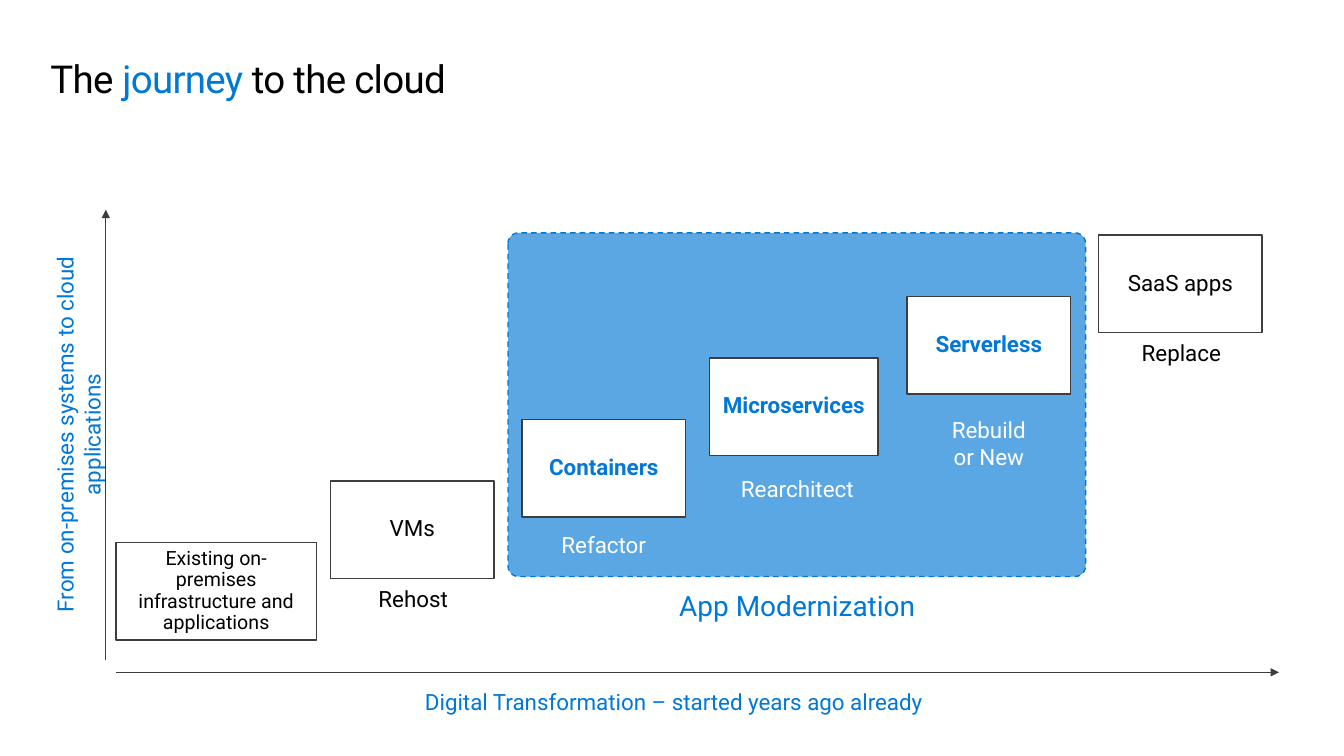
import pptx
import pptx.dml.color
import pptx.enum.dml
import pptx.enum.shapes
import pptx.enum.text
import pptx.oxml
import pptx.oxml.ns
import pptx.util

Pt = pptx.util.Pt
RGBColor = pptx.dml.color.RGBColor
ALIGN = pptx.enum.text.PP_ALIGN
ANCHOR = pptx.enum.text.MSO_ANCHOR
SHAPE = pptx.enum.shapes.MSO_SHAPE

BLACK = RGBColor(0x00, 0x00, 0x00)
WHITE = RGBColor(0xFF, 0xFF, 0xFF)
INK = RGBColor(0x3C, 0x3C, 0x41)
TITLE_BLUE = RGBColor(0x00, 0x78, 0xD4)
LABEL_BLUE = RGBColor(0x00, 0x78, 0xD7)
PANEL_BLUE = RGBColor(0x04, 0x78, 0xD7)

STEP_HEIGHT = 69.84
STEP_RISE = 43.92
CAPTION_WIDTH = 103.68
LINE_HEIGHT = 19.44

STEPS = [
    dict(name="Existing on-premises infrastructure and applications", left=82.8, width=143.28, size=14),
    dict(name="VMs", left=236.16, caption="Rehost", caption_left=243.36, gap=4.3),
    dict(name="Containers", left=372.96, caption="Refactor", caption_left=379.44, gap=10, modern=True),
    dict(name="Microservices", left=506.88, width=120.24, inset=7.2, caption="Rearchitect",
         caption_left=517.68, gap=13.7, modern=True),
    dict(name="Serverless", left=648, caption="Rebuild\nor New", caption_left=654.48, gap=15.8, modern=True),
    dict(name="SaaS apps", left=784.8, caption="Replace", caption_left=792, gap=4.3),
]


def write_text(paragraph, text, size=16, color=BLACK, bold=False, spacing=None):
    for index, line in enumerate(text.split("\n")):
        if index:
            paragraph.add_line_break()
        run = paragraph.add_run()
        run.text = line
        run.font.name = "Roboto"
        run.font.size = Pt(size)
        run.font.bold = bold
        run.font.color.rgb = color
        if spacing is not None:
            run.font._element.set("spc", str(round(spacing * 100)))


def set_insets(frame, left, top, right, bottom):
    frame.word_wrap = True
    frame.margin_left, frame.margin_top = Pt(left), Pt(top)
    frame.margin_right, frame.margin_bottom = Pt(right), Pt(bottom)


def add_label(slide, text, left, top, width, height, rotation=0, **text_format):
    label = slide.shapes.add_textbox(Pt(left), Pt(top), Pt(width), Pt(height))
    label.rotation = rotation
    frame = label.text_frame
    set_insets(frame, 0, 0, 0, 0)
    frame.auto_size = pptx.enum.text.MSO_AUTO_SIZE.SHAPE_TO_FIT_TEXT
    paragraph = frame.paragraphs[0]
    paragraph.alignment = ALIGN.CENTER
    write_text(paragraph, text, **text_format)


def add_box(slide, kind, left, top, width, height, fill, line):
    box = slide.shapes.add_shape(kind, Pt(left), Pt(top), Pt(width), Pt(height))
    box.shadow.inherit = False
    box.fill.solid()
    box.fill.fore_color.rgb = fill
    box.line.color.rgb = line
    box.line.width = Pt(1)
    return box


def add_arrow(slide, start_x, start_y, end_x, end_y):
    arrow = slide.shapes.add_connector(
        pptx.enum.shapes.MSO_CONNECTOR.STRAIGHT, Pt(start_x), Pt(start_y), Pt(end_x), Pt(end_y))
    arrow.line.color.rgb = INK
    arrow.line.width = Pt(1)
    properties = arrow._element.spPr
    head = pptx.oxml.parse_xml(f'<a:tailEnd {pptx.oxml.ns.nsdecls("a")} type="triangle"/>')
    properties.find(pptx.oxml.ns.qn("a:ln")).append(head)
    properties.append(pptx.oxml.parse_xml(f'<a:effectLst {pptx.oxml.ns.nsdecls("a")}/>'))


def add_title(slide, left, top, width, height):
    title = slide.shapes.title
    title.left, title.top, title.width, title.height = Pt(left), Pt(top), Pt(width), Pt(height)
    frame = title.text_frame
    set_insets(frame, 0, 7.2, 11.52, 7.2)
    frame.vertical_anchor = ANCHOR.TOP
    frame.auto_size = pptx.enum.text.MSO_AUTO_SIZE.NONE
    paragraph = frame.paragraphs[0]
    paragraph.alignment = ALIGN.LEFT
    paragraph.line_spacing = 0.9
    for text, color in (("The ", BLACK), ("journey", TITLE_BLUE), (" to the cloud", BLACK)):
        write_text(paragraph, text, size=27.5, color=color, spacing=-0.5)


def add_modernization_panel(slide, left, top, width, height):
    panel = add_box(slide, SHAPE.ROUNDED_RECTANGLE, left, top, width, height, PANEL_BLUE, TITLE_BLUE)
    panel.adjustments[0] = 0.031
    panel.line.dash_style = pptx.enum.dml.MSO_LINE.DASH
    fill_color = panel._element.spPr.find(".//" + pptx.oxml.ns.qn("a:srgbClr"))
    fill_color.append(pptx.oxml.parse_xml(f'<a:alpha {pptx.oxml.ns.nsdecls("a")} val="65000"/>'))
    add_label(slide, "App Modernization", left + 105.8, top + height + 8.6, 201.6, 24.48,
              size=20, color=LABEL_BLUE)


def add_axes(slide, left, top, width, height):
    bottom = top + height
    add_arrow(slide, left, bottom - 8.64, left, top)
    add_arrow(slide, left + 7.2, bottom, left + width, bottom)
    add_label(slide, "Digital Transformation – started years ago already",
              left + 151.2, bottom + 11.5, 509.04, LINE_HEIGHT, color=LABEL_BLUE)
    add_label(slide, "From on-premises systems to cloud applications",
              left - 152.64, top + 141.1, 266.4, 2 * LINE_HEIGHT, rotation=270, color=LABEL_BLUE)


def add_step(slide, top, name, left, width=116.64, size=16, inset=14.4,
             caption=None, caption_left=0, gap=0, modern=False):
    box = add_box(slide, SHAPE.RECTANGLE, left, top, width, STEP_HEIGHT, WHITE, INK)
    frame = box.text_frame
    set_insets(frame, inset, 11.52, inset, 11.52)
    frame.vertical_anchor = ANCHOR.MIDDLE
    paragraph = frame.paragraphs[0]
    paragraph.alignment = ALIGN.CENTER
    paragraph.line_spacing = 0.9
    write_text(paragraph, name, size=size, color=PANEL_BLUE if modern else BLACK, bold=modern)
    if caption:
        height = LINE_HEIGHT * len(caption.split("\n"))
        add_label(slide, caption, caption_left, top + STEP_HEIGHT + gap, CAPTION_WIDTH, height,
                  color=WHITE if modern else BLACK)


def add_staircase(slide, first_top):
    for index, step in enumerate(STEPS):
        add_step(slide, first_top - index * STEP_RISE, **step)


def main():
    presentation = pptx.Presentation()
    presentation.slide_width, presentation.slide_height = Pt(960), Pt(540)
    slide = presentation.slides.add_slide(presentation.slide_layouts[5])
    add_title(slide, 36, 36, 888, 46.8)
    add_modernization_panel(slide, 362.9, 166.3, 412.6, 245.5)
    add_axes(slide, 75.6, 149.8, 838, 330.4)
    add_staircase(slide, 387.4)
    presentation.save("out.pptx")


if __name__ == "__main__":
    main()
